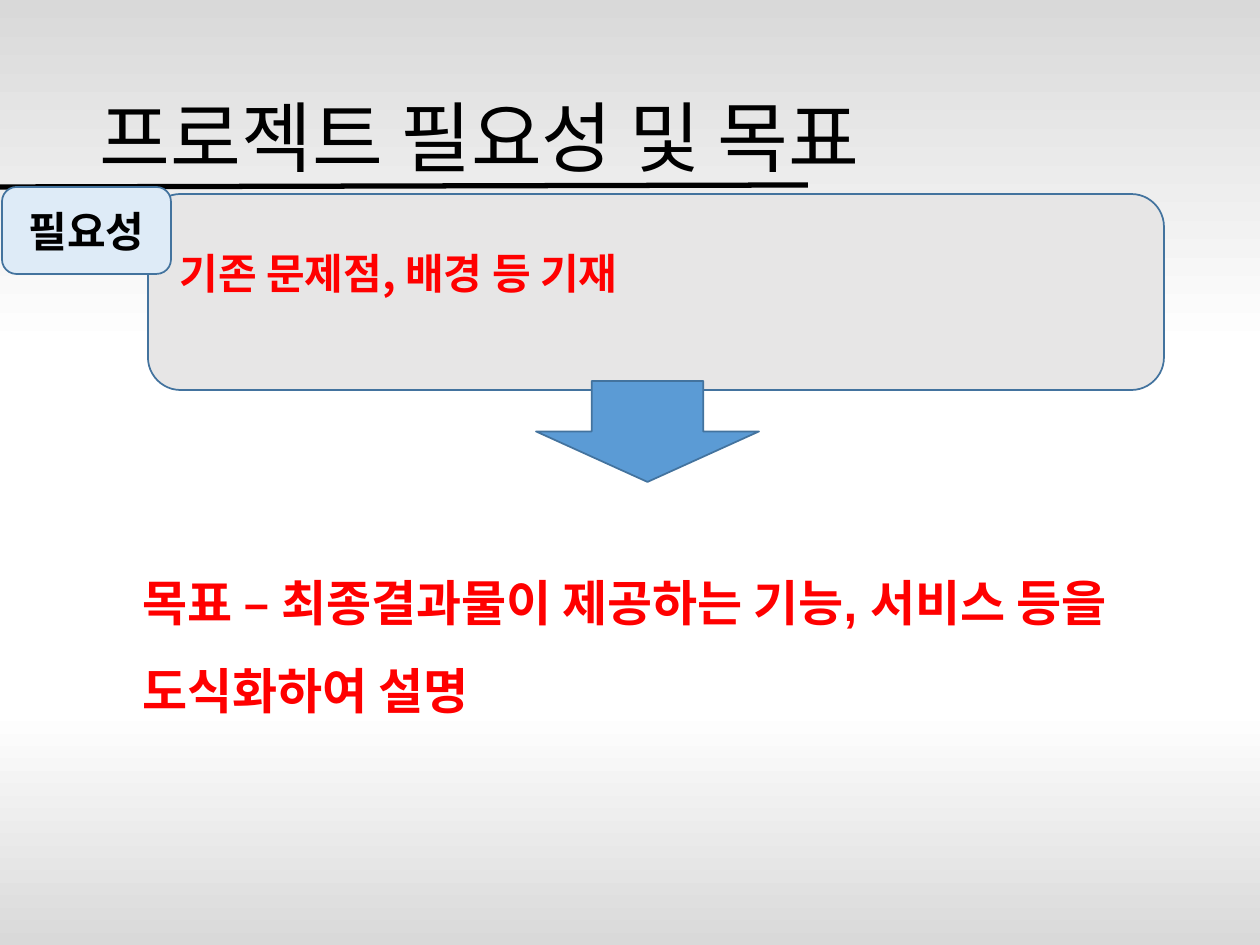
from dataclasses import dataclass
from typing import Optional

from lxml.etree import SubElement
from pptx import Presentation
from pptx.dml.color import RGBColor
from pptx.enum.shapes import MSO_CONNECTOR, MSO_SHAPE
from pptx.enum.text import MSO_ANCHOR, MSO_AUTO_SIZE, PP_ALIGN
from pptx.oxml.ns import qn
from pptx.util import Emu, Pt

PIXELS_PER_INCH = 126
TITLE_ONLY = 5


@dataclass(frozen=True)
class Theme:
    ink: str = "000000"
    accent: str = "FF0000"
    panel: str = "E7E6E6"
    label: str = "DEEBF7"
    arrow: str = "5B9BD5"
    outline: str = "43739E"
    shade: str = "D9D9D9"
    light: str = "FFFFFF"
    title_size: int = 44
    goal_size: int = 28
    box_size: int = 24
    korean: str = "Noto Sans CJK KR"


@dataclass(frozen=True)
class Frame:
    left: int
    top: int
    width: int
    height: int


@dataclass(frozen=True)
class Span:
    text: str
    size: int
    color: str
    font: str
    bold: bool = True


@dataclass(frozen=True)
class Block:
    kind: MSO_SHAPE
    frame: Frame
    fill: str
    span: Optional[Span] = None
    align: PP_ALIGN = PP_ALIGN.LEFT
    bottom_inset: int = 6


THEME = Theme()
BACKDROP = [(0, THEME.shade), (37, THEME.light), (75, THEME.light), (100, THEME.shade)]
TITLE = Span("프로젝트 필요성 및 목표", THEME.title_size, THEME.ink, THEME.korean, False)
GOAL = [
    Span("목표 – ", THEME.goal_size, THEME.accent, THEME.korean),
    Span("최종결과물이 제공하는 기능, 서비스 등을 도식화하여 설명",
         THEME.goal_size, THEME.accent, "Arial"),
]
BLOCKS = [
    Block(MSO_SHAPE.ROUNDED_RECTANGLE, Frame(148, 194, 1016, 196), THEME.panel,
          Span(" 기존 문제점, 배경 등 기재", THEME.box_size, THEME.accent, THEME.korean),
          bottom_inset=44),
    Block(MSO_SHAPE.ROUNDED_RECTANGLE, Frame(2, 187, 169, 87), THEME.label,
          Span("필요성", THEME.box_size, THEME.ink, "Calibri"), PP_ALIGN.CENTER),
    Block(MSO_SHAPE.DOWN_ARROW, Frame(536, 381, 223, 101), THEME.arrow),
]


def px(value: int) -> Emu:
    return Emu(round(value * 914400 / PIXELS_PER_INCH))


def rgb(color: str) -> RGBColor:
    return RGBColor.from_string(color)


def place(shape, frame: Frame) -> None:
    shape.left, shape.top = px(frame.left), px(frame.top)
    shape.width, shape.height = px(frame.width), px(frame.height)


def add_span(para, span: Span) -> None:
    run = para.add_run()
    run.text = span.text
    run.font.size = Pt(span.size)
    run.font.bold = span.bold
    run.font.name = span.font
    run.font.color.rgb = rgb(span.color)
    latin = run.font._element.find(qn("a:latin"))
    east_asian = latin.makeelement(qn("a:ea"), {"typeface": THEME.korean})
    latin.addnext(east_asian)


def paint_background(page) -> None:
    fill = page.background.fill
    fill.gradient()
    fill.gradient_angle = 270
    stops = page.element.find(".//" + qn("a:gsLst"))
    for stop in list(stops):
        stops.remove(stop)
    for percent, color in BACKDROP:
        stop = SubElement(stops, qn("a:gs"), pos=str(percent * 1000))
        SubElement(stop, qn("a:srgbClr"), val=color)


def write_title(page) -> None:
    title = page.shapes.title
    place(title, Frame(87, 50, 1086, 183))
    frame = title.text_frame
    frame.auto_size = MSO_AUTO_SIZE.NONE
    frame.vertical_anchor = MSO_ANCHOR.MIDDLE
    para = frame.paragraphs[0]
    para.alignment = PP_ALIGN.LEFT
    para.line_spacing = 0.9
    add_span(para, TITLE)


def write_goal(page) -> None:
    box = page.shapes.add_textbox(px(130), px(537), px(1086), px(199))
    box.text_frame.word_wrap = True
    para = box.text_frame.paragraphs[0]
    para.line_spacing = 1.5
    para.space_before = Pt(10)
    for span in GOAL:
        add_span(para, span)


def draw_rule(page) -> None:
    rule = page.shapes.add_connector(MSO_CONNECTOR.STRAIGHT, px(0), px(187), px(808), px(185))
    rule.line.color.rgb = rgb(THEME.ink)
    rule.line.width = Pt(3)
    SubElement(rule.element.spPr, qn("a:effectLst"))


def draw_block(page, block: Block) -> None:
    shape = page.shapes.add_shape(block.kind, 0, 0, 0, 0)
    place(shape, block.frame)
    shape.shadow.inherit = False
    shape.fill.solid()
    shape.fill.fore_color.rgb = rgb(block.fill)
    shape.line.color.rgb = rgb(THEME.outline)
    shape.line.width = Pt(1)
    if block.span:
        frame = shape.text_frame
        frame.word_wrap = True
        frame.vertical_anchor = MSO_ANCHOR.MIDDLE
        frame.margin_bottom = px(block.bottom_inset)
        para = frame.paragraphs[0]
        para.alignment = block.align
        add_span(para, block.span)


def main() -> None:
    deck = Presentation()
    deck.slide_width, deck.slide_height = px(1260), px(945)
    page = deck.slides.add_slide(deck.slide_layouts[TITLE_ONLY])
    paint_background(page)
    write_title(page)
    write_goal(page)
    draw_rule(page)
    for block in BLOCKS:
        draw_block(page, block)
    deck.save("out.pptx")


if __name__ == "__main__":
    main()
